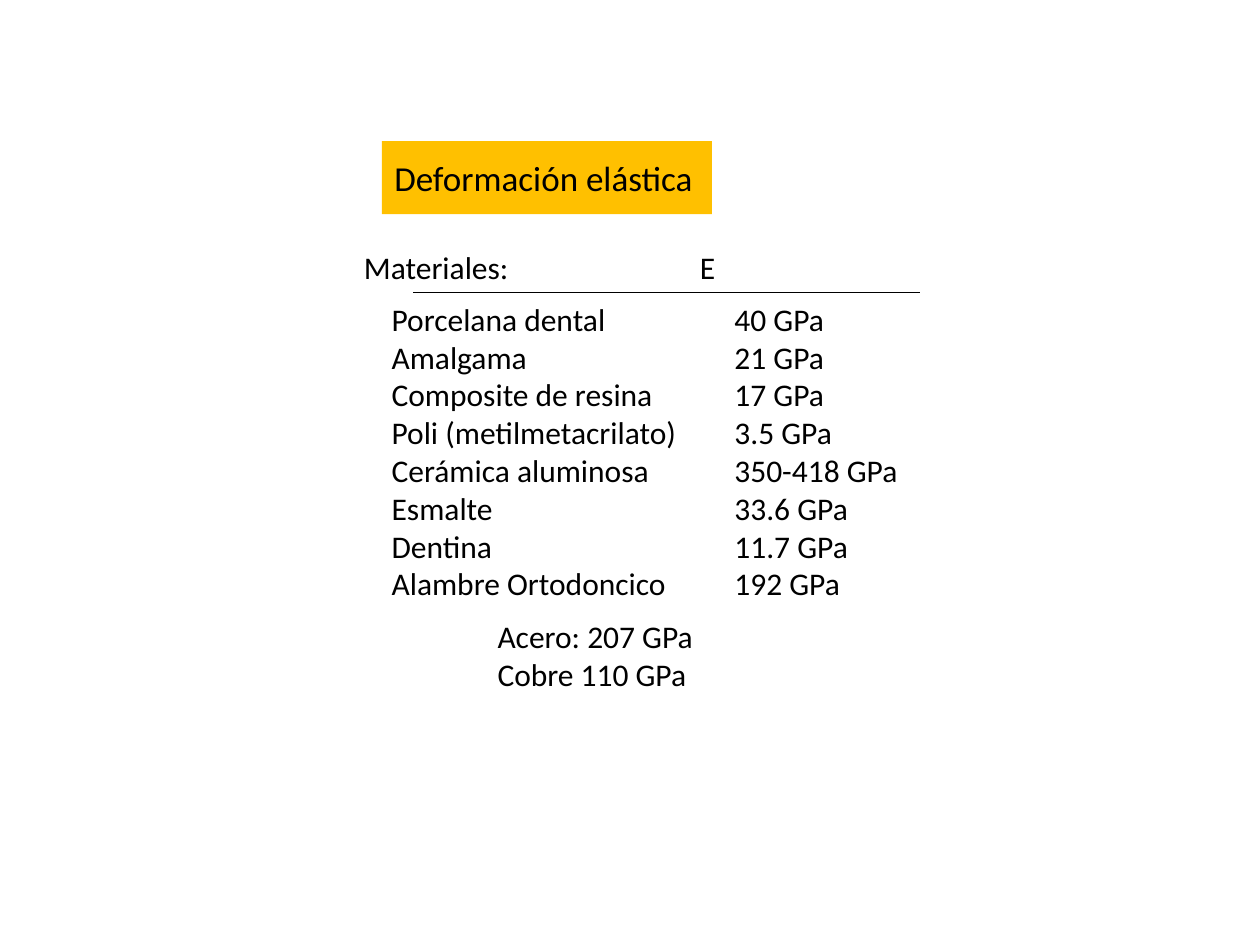
from dataclasses import dataclass

from lxml import etree
from pptx import Presentation
from pptx.dml.color import RGBColor
from pptx.enum.shapes import MSO_CONNECTOR, MSO_SHAPE
from pptx.enum.text import MSO_ANCHOR, PP_ALIGN
from pptx.oxml.ns import qn
from pptx.shapes.base import BaseShape
from pptx.slide import Slide
from pptx.util import Pt

RECTANGLE = MSO_SHAPE.RECTANGLE
STRAIGHT = MSO_CONNECTOR.STRAIGHT
LEFT = PP_ALIGN.LEFT
TOP, MIDDLE = MSO_ANCHOR.TOP, MSO_ANCHOR.MIDDLE

BLACK = RGBColor(0x00, 0x00, 0x00)
AMBER = RGBColor(0xFF, 0xC0, 0x00)
FONT = "Calibri"
BODY_SIZE = 18
TITLE_SIZE = 20

LIST_TOP, LIST_HEIGHT = 167.8, 180
HEADING_TAB = 192


@dataclass(frozen=True)
class TextBlock:
    left: float
    top: float
    width: float
    height: float
    lines: tuple[str, ...]


# Elastic modulus of each material
MODULI = (
    ("Porcelana dental", "40 GPa"),
    ("Amalgama", "21 GPa"),
    ("Composite de resina", "17 GPa"),
    ("Poli (metilmetacrilato)", "3.5 GPa"),
    ("Cerámica aluminosa", "350-418 GPa"),
    ("Esmalte", "33.6 GPa"),
    ("Dentina", "11.7 GPa"),
    ("Alambre Ortodoncico", "192 GPa"),
)
MATERIALS, VALUES = zip(*MODULI)

TITLE = TextBlock(218.2, 80.6, 188.6, 41.8, ("Deformación elástica",))
HEADING = TextBlock(200.9, 138.2, 280.8, 28.8, ("Materiales:\tE",))
BODY_BLOCKS = (
    TextBlock(216.7, LIST_TOP, 213.8, LIST_HEIGHT, MATERIALS),
    TextBlock(412.6, LIST_TOP, 129.6, LIST_HEIGHT, VALUES),
    TextBlock(277.2, 349.2, 231.1, 50.4, ("Acero: 207 GPa", "Cobre 110 GPa")),
)


def write_lines(shape: BaseShape, lines: tuple[str, ...], size: float, anchor: MSO_ANCHOR) -> None:
    frame = shape.text_frame
    frame.word_wrap = True
    frame.vertical_anchor = anchor
    for index, line in enumerate(lines):
        paragraph = frame.add_paragraph() if index else frame.paragraphs[0]
        paragraph.alignment = LEFT
        run = paragraph.add_run()
        run.text = line
        run.font.name = FONT
        run.font.size = Pt(size)
        run.font.color.rgb = BLACK


def add_title(slide: Slide, block: TextBlock) -> None:
    shape = slide.shapes.add_shape(
        RECTANGLE, Pt(block.left), Pt(block.top), Pt(block.width), Pt(block.height))
    shape.shadow.inherit = False
    shape.fill.solid()
    shape.fill.fore_color.rgb = AMBER
    shape.line.fill.background()
    write_lines(shape, block.lines, TITLE_SIZE, MIDDLE)


def add_text(slide: Slide, block: TextBlock) -> BaseShape:
    shape = slide.shapes.add_textbox(
        Pt(block.left), Pt(block.top), Pt(block.width), Pt(block.height))
    write_lines(shape, block.lines, BODY_SIZE, TOP)
    return shape


def add_tab_stop(shape: BaseShape, position: float) -> None:
    for paragraph in shape.text_frame.paragraphs:
        properties = paragraph._p.get_or_add_pPr()
        tabs = etree.SubElement(properties, qn("a:tabLst"))
        etree.SubElement(tabs, qn("a:tab"), pos=str(Pt(position)), algn="l")


def add_rule(slide: Slide, left: float, right: float, y: float) -> None:
    connector = slide.shapes.add_connector(STRAIGHT, Pt(left), Pt(y), Pt(right), Pt(y))
    connector.line.color.rgb = BLACK
    connector.line.width = Pt(0.75)
    etree.SubElement(connector._element.spPr, qn("a:effectLst"))


def main() -> None:
    presentation = Presentation()
    presentation.slide_width = Pt(720)
    presentation.slide_height = Pt(540)
    slide = presentation.slides.add_slide(presentation.slide_layouts[6])

    # Title and column headings
    add_title(slide, TITLE)
    add_tab_stop(add_text(slide, HEADING), HEADING_TAB)

    # Materials, their moduli and the reference metals
    for block in BODY_BLOCKS:
        add_text(slide, block)

    # Rule under the headings
    add_rule(slide, 236.2, 525.6, 167)

    presentation.save("out.pptx")


if __name__ == "__main__":
    main()
